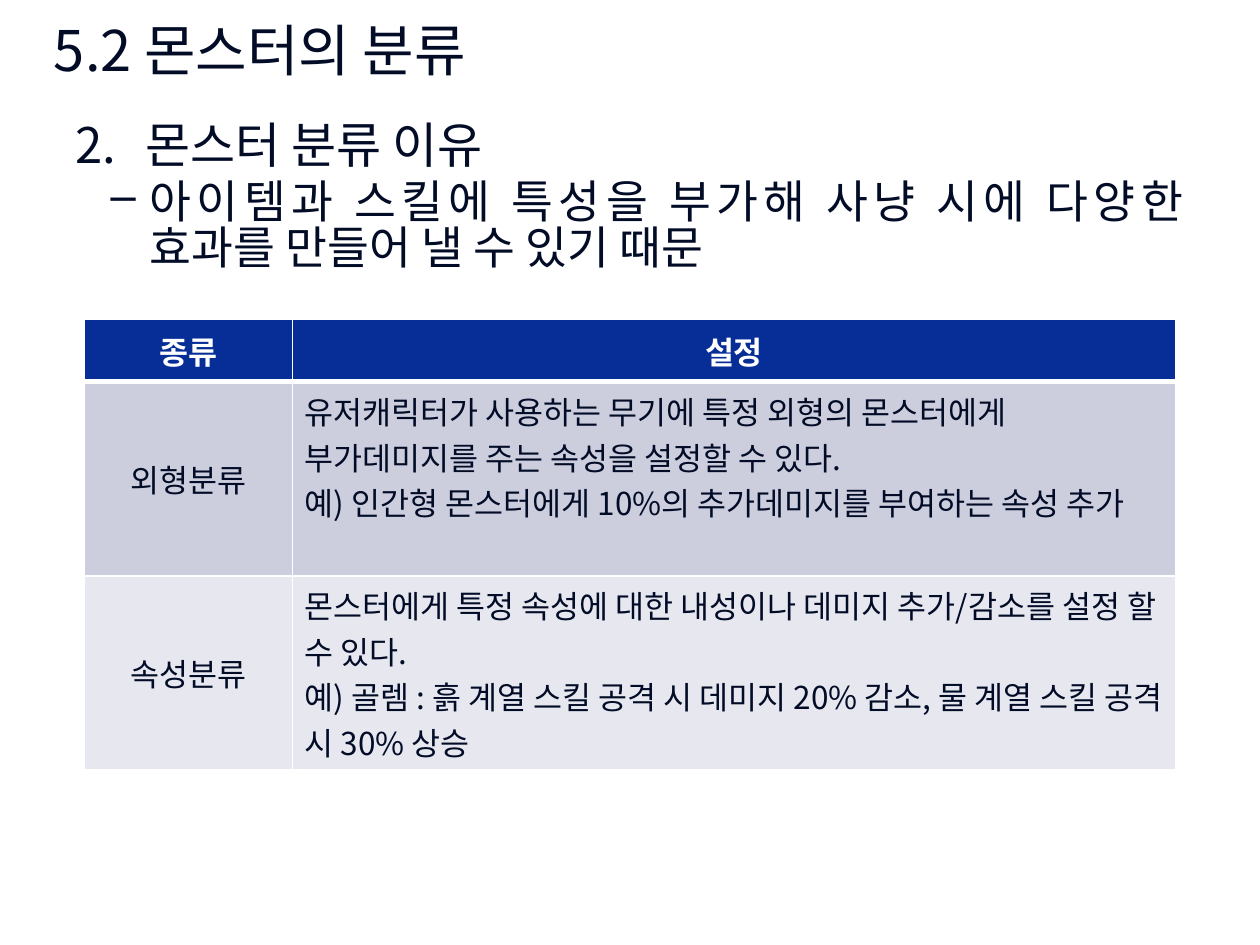
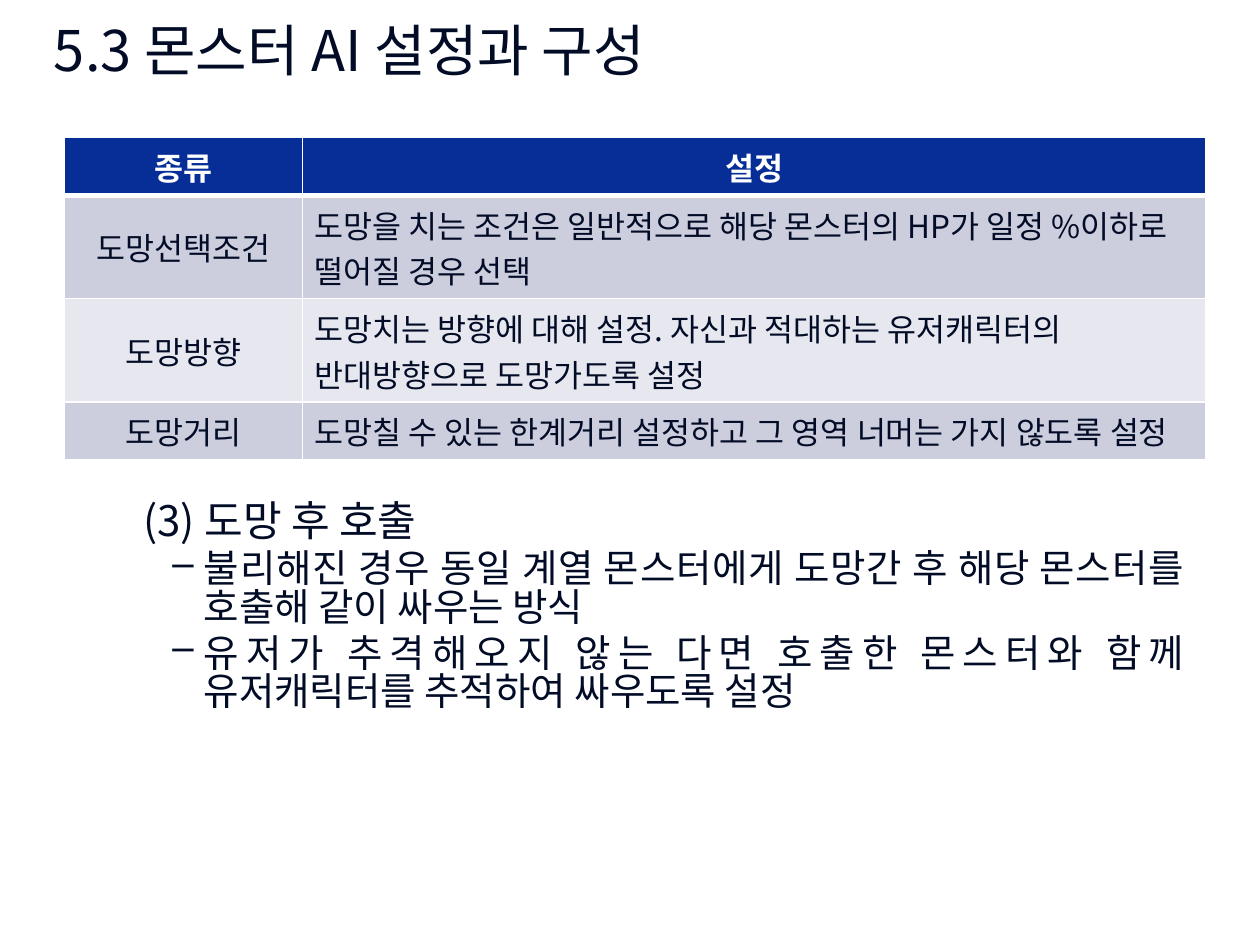
import pptx
import pptx.util
import pptx.dml.color
import pptx.enum.text
import pptx.oxml.ns
import lxml.etree

# Content: body paragraphs are (level style, text); rows are (kind, lines of height, texts)
HEAD = ("종류", "설정")
PAGES = [
    dict(
        title="5.2 몬스터의 분류",
        body=[
            ("num", "몬스터 분류 이유"),
            ("dash", "아이템과 스킬에 특성을 부가해 사냥 시에 다양한 효과를 만들어 낼 수 있기 때문"),
        ],
        box=(0.5, 0.92, 9, 5.98), inset=0.07,
        at=(0.67, 2.53), cols=(1.65, 7.01), head=0.5,
        rows=[
            ("외형분류", 4, [
                "유저캐릭터가 사용하는 무기에 특정 외형의 몬스터에게 부가데미지를 주는 속성을 설정할 수 있다.",
                "예) 인간형 몬스터에게 10%의 추가데미지를 부여하는 속성 추가"]),
            ("속성분류", 4, [
                "몬스터에게 특정 속성에 대한 내성이나 데미지 추가/감소를 설정 할 수 있다.",
                "예) 골렘 : 흙 계열 스킬 공격 시 데미지 20% 감소, 물 계열 스킬 공격 시 30% 상승"]),
        ],
    ),
    dict(
        title="5.3 몬스터 AI 설정과 구성",
        body=[
            ("part", "(3) 도망 후 호출"),
            ("deep", "불리해진 경우 동일 계열 몬스터에게 도망간 후 해당 몬스터를 호출해 같이 싸우는 방식"),
            ("deep", "유저가 추격해오지 않는 다면 호출한 몬스터와 함께 유저캐릭터를 추적하여 싸우도록 설정"),
        ],
        box=(0.5, 3.44, 9, 3.46), inset=0.55,
        at=(0.51, 1.09), cols=(1.89, 7.17), head=0.46,
        rows=[
            ("도망선택조건", 2, ["도망을 치는 조건은 일반적으로 해당 몬스터의 HP가 일정 %이하로 떨어질 경우 선택"]),
            ("도망방향", 2, ["도망치는 방향에 대해 설정. 자신과 적대하는 유저캐릭터의 반대방향으로 도망가도록 설정"]),
            ("도망거리", 1, ["도망칠 수 있는 한계거리 설정하고 그 영역 너머는 가지 않도록 설정"]),
        ],
    ),
]

# Shared look
FONT = "Noto Sans CJK KR"
INK = dict(text="020C27", white="FFFFFF", head="072E96", odd="CCCDDD", even="E7E8EF")
TITLE = (0.33, 0, 9, 0.78)
LINE, PAD = 0.36, 0.1
NUM = ("buAutoNum", dict(type="arabicPeriod", startAt="2"))
DASH = ("buChar", dict(char="–"))
LEVELS = {  # size, left margin, first-line indent, bullet
    "num": (28, 0.56, -0.56, NUM),
    "dash": (26, 0.59, -0.31, DASH),
    "part": (24, 0.54, 0, None),
    "deep": (22, 1.02, -0.25, DASH),
}

Inch, Pt = pptx.util.Inches, pptx.util.Pt
Align, Anchor = pptx.enum.text.PP_ALIGN, pptx.enum.text.MSO_ANCHOR


def tint(name):
    return pptx.dml.color.RGBColor.from_string(INK[name])


def node(parent, tag, **attrs):
    return lxml.etree.SubElement(parent, pptx.oxml.ns.qn("a:" + tag), attrs)


def write(par, text, size=18, ink="text", bold=False, align=Align.LEFT):
    par.alignment = align
    run = par.add_run()
    run.text = text
    font = run.font
    font.size, font.bold, font.name = Pt(size), bold, FONT
    font.color.rgb = tint(ink)
    node(font._element, "ea", typeface=FONT)


def add_box(slide, box, anchor, inset=0.05):
    frame = slide.shapes.add_textbox(*map(Inch, box)).text_frame
    frame.word_wrap = True
    frame.vertical_anchor = anchor
    frame.margin_top = Inch(inset)
    return frame


def add_body(slide, page):
    frame = add_box(slide, page["box"], Anchor.TOP, page["inset"])
    for i, (level, text) in enumerate(page["body"]):
        size, left, first, mark = LEVELS[level]
        par = frame.add_paragraph() if i else frame.paragraphs[0]
        par.line_spacing = 0.83
        par.space_before = Pt(0.2 * size if i else 0)
        props = par._p.get_or_add_pPr()
        props.set("marL", str(Inch(left)))
        props.set("indent", str(Inch(first)))
        if mark:
            node(props, mark[0], **mark[1])
        write(par, text, size, align=Align.JUSTIFY)


def fill_cell(cell, lines, fill, top=1, low=1, anchor=Anchor.MIDDLE, **style):
    cell.vertical_anchor = anchor
    for i, text in enumerate(lines):
        par = cell.text_frame.add_paragraph() if i else cell.text_frame.paragraphs[0]
        write(par, text, **style)
    # Borders come before the fill in the cell properties
    props = cell._tc.get_or_add_tcPr()
    for side, width in zip("LRTB", (1, 1, top, low)):
        edge = node(props, "ln" + side, w=str(Pt(width)))
        node(node(edge, "solidFill"), "srgbClr", val=INK["white"])
    cell.fill.solid()
    cell.fill.fore_color.rgb = tint(fill)


def add_grid(slide, page):
    highs = [page["head"]] + [PAD + LINE * count for _, count, _ in page["rows"]]
    cols = page["cols"]
    size = (sum(cols), sum(highs))
    grid = slide.shapes.add_table(
        len(highs), len(cols), *map(Inch, page["at"] + size)).table
    grid.first_row = grid.horz_banding = False
    for col, width in zip(grid.columns, cols):
        col.width = Inch(width)
    for row, high in zip(grid.rows, highs):
        row.height = Inch(high)

    for c, text in enumerate(HEAD):
        fill_cell(grid.cell(0, c), [text], "head", low=3,
                  ink="white", bold=True, align=Align.CENTER)
    for r, (kind, _, lines) in enumerate(page["rows"], 1):
        look = dict(fill="odd" if r % 2 else "even", top=3 if r == 1 else 1)
        fill_cell(grid.cell(r, 0), [kind], align=Align.CENTER, **look)
        fill_cell(grid.cell(r, 1), lines, anchor=Anchor.TOP, **look)


def main():
    deck = pptx.Presentation()
    deck.slide_width, deck.slide_height = Inch(10), Inch(7.5)
    for page in PAGES:
        slide = deck.slides.add_slide(deck.slide_layouts[6])
        title = add_box(slide, TITLE, Anchor.MIDDLE)
        write(title.paragraphs[0], page["title"], 32)
        add_body(slide, page)
        add_grid(slide, page)
    deck.save("out.pptx")


if __name__ == "__main__":
    main()
